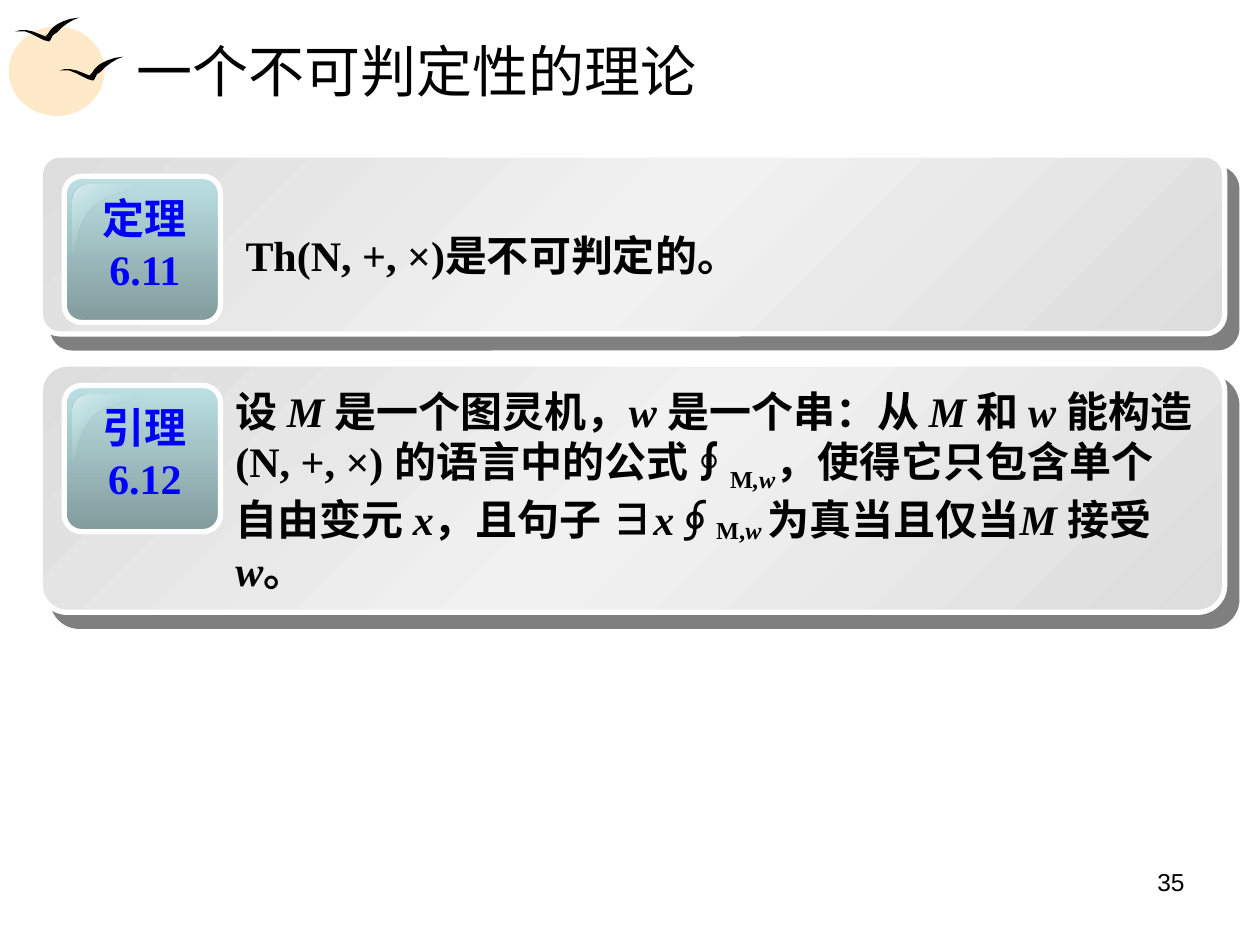
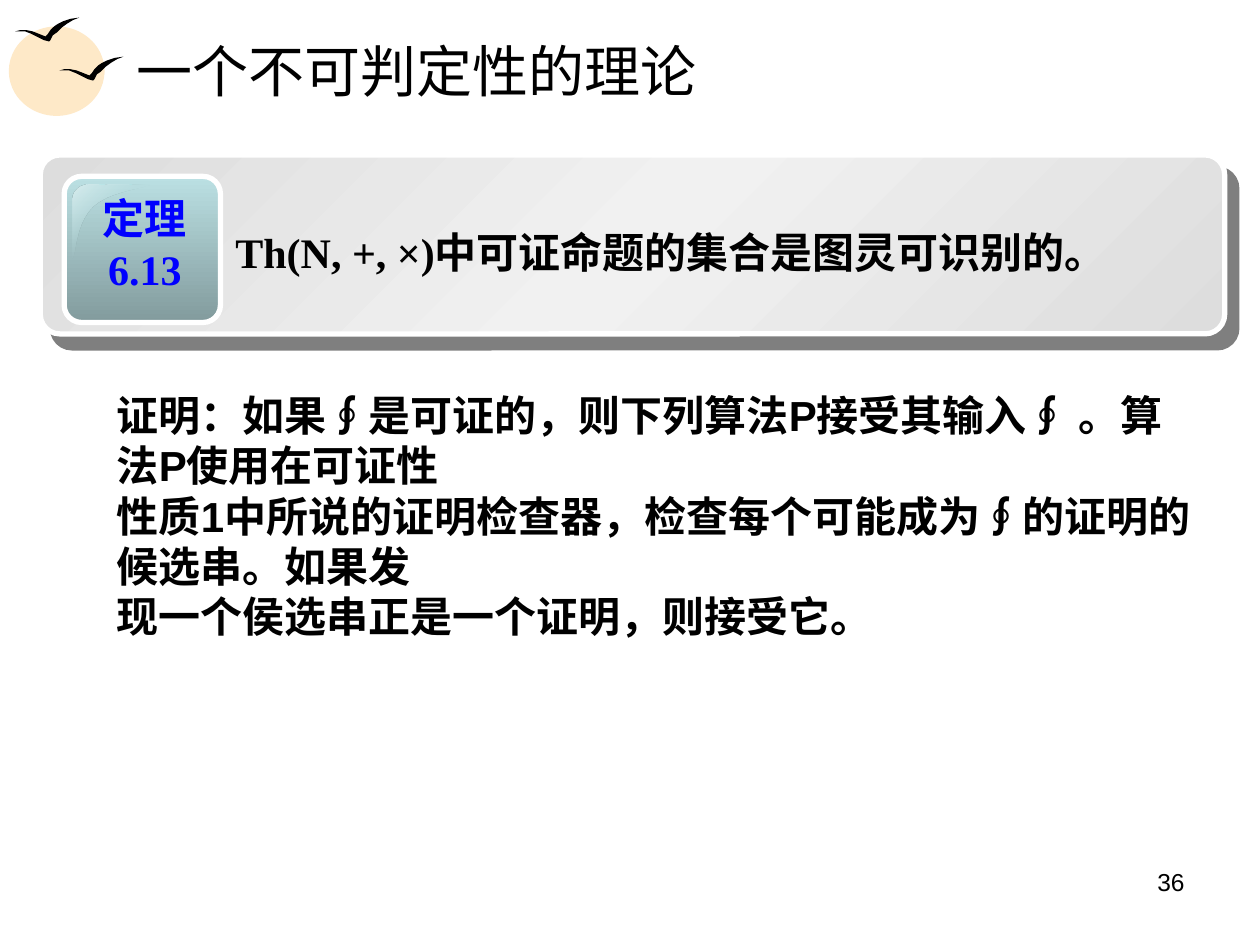
from lxml import etree
from pptx import Presentation
from pptx.dml.color import RGBColor
from pptx.enum.shapes import MSO_SHAPE
from pptx.enum.text import MSO_ANCHOR, PP_ALIGN
from pptx.oxml.ns import qn
from pptx.util import Inches, Pt

ELLIPSE, ROUNDED = MSO_SHAPE.OVAL, MSO_SHAPE.ROUNDED_RECTANGLE
LEFT, CENTER, RIGHT = PP_ALIGN.LEFT, PP_ALIGN.CENTER, PP_ALIGN.RIGHT
MIDDLE = MSO_ANCHOR.MIDDLE

TITLE = "一个不可判定性的理论"
SERIF, SANS = "Times New Roman", "Arial"
BLACK, BLUE, WHITE, SUN = "000000", "0000FF", "FFFFFF", "FEE9C8"

TITLE_FORMAT = {"name": SERIF, "size": Pt(32), "bold": False, "color": BLACK}
STATEMENT_FORMAT = {"name": SERIF, "size": Pt(24), "bold": True, "color": BLACK}
LABEL_FORMAT = {**STATEMENT_FORMAT, "color": BLUE}
PROOF_FORMAT = {**STATEMENT_FORMAT, "name": SANS}
NUMBER_FORMAT = {"name": SANS, "size": Pt(14), "color": BLACK}

ITALIC = {"italic": True}
LOW, LOW_ITALIC = {"baseline": -25}, {"baseline": -25, "italic": True}
DROP, DROP_ITALIC = {"baseline": -10}, {"baseline": -10, "italic": True}

PANEL_STOPS = [(0, "DDDDDD", 100), (50, "F1F1F1", 100), (100, "DDDDDD", 100)]
BADGE_STOPS = [(0, "BBE0E3", 100), (100, "829B9D", 100)]
SHEEN_STOPS = [(0, "D9EDEE", 100), (50, "BBE0E3", 0), (100, "D9EDEE", 100)]

LEMMA_RUNS = [
    ("设 ", {}), ("M ", ITALIC), ("是一个图灵机，", {}), ("w ", ITALIC),
    ("是一个串：从 ", {}), ("M ", ITALIC), ("和 ", {}), ("w ", ITALIC),
    ("能构造(N, +, ×) 的语言中的公式∮", {}), ("M", LOW), (",w", LOW_ITALIC),
    ("，使得它只包含单个自由变元 ", {}), ("x", ITALIC), ("，且句子 ", {}),
    ("∃", {"name": SANS}), ("x", ITALIC), ("∮", {}), ("M,", DROP),
    ("w ", DROP_ITALIC), ("为真当且仅当", {}), ("M ", ITALIC), ("接受", {}),
    ("w", ITALIC), ("。", {}),
]

SLIDES = [
    {"number": "35", "proof": [], "panels": [
        {"top": 1.23, "height": 1.42, "label": ["定理", "6.11"],
         "box": (1.85, 1.77, 7.48, 0.5),
         "runs": [("Th(N, +, ×)是不可判定的。", {})]},
        {"top": 2.89, "height": 1.97, "label": ["引理", "6.12"],
         "box": (1.77, 3.01, 7.8, 1.76), "runs": LEMMA_RUNS},
    ]},
    {"number": "36", "panels": [
        {"top": 1.23, "height": 1.42, "label": ["定理", "6.13"],
         "box": (1.77, 1.75, 7.56, 0.5),
         "runs": [("Th(N, +, ×)中可证命题的集合是图灵可识别的。", {})]},
    ], "proof": [
        "证明：如果∮是可证的，则下列算法P接受其输入∮ 。算法P使用在可证性",
        "性质1中所说的证明检查器，检查每个可能成为∮的证明的候选串。如果发",
        "现一个侯选串正是一个证明，则接受它。",
    ]},
]

TITLE_BOX = (0.98, 0.21, 8.53, 0.69)
PROOF_BOX = (0.83, 3.04, 8.74, 2.1)
NUMBER_BOX = (7.17, 6.83, 2.33, 0.52)
SUN_BOXES = [(0.07, 0.21, 0.76, 0.71), (0.2, 0.28, 0.63, 0.55)]
BIRD_CORNERS = [(0.47, 0.45), (0.12, 0.14)]
BIRD_HUNDREDTHS = [
    (0, 11), (4, 10), (9, 10), (14, 11), (19, 13), (24, 15), (26, 13),
    (28, 10), (31, 7), (34, 5), (38, 3), (44, 1), (51, 0), (46, 2), (41, 5),
    (37, 8), (33, 12), (30, 14), (28, 18), (27, 19), (23, 18), (19, 16),
    (13, 13), (8, 11),
]
SHEEN_CURVES = [
    [(0.13, 0), (0.06, 0), (0, 0.05), (0, 0.12)],
    [(0, 0.58), (0.03, 0.58), (0.02, 0.3), (0.17, 0.17)],
    [(0.17, 0.17), (0.32, 0.04), (0.62, 0.03), (0.61, 0)],
]


def color(value):
    """Turn a hex string into a colour."""
    return RGBColor.from_string(value)


def inches(box):
    """Turn a box of numbers into lengths."""
    return [Inches(value) for value in box]


def format_run(run, values):
    """Apply format values to a run."""
    for name, value in values.items():
        if name == "color":
            run.font.color.rgb = color(value)
        elif name == "baseline":
            run._r.get_or_add_rPr().set("baseline", str(value * 1000))
        else:
            setattr(run.font, name, value)


def write(frame, paragraphs, values, align=LEFT):
    """Fill a text frame with paragraphs of (text, changes) runs."""
    frame.word_wrap = True
    for index, runs in enumerate(paragraphs):
        paragraph = frame.add_paragraph() if index else frame.paragraphs[0]
        paragraph.alignment = align
        for text, changes in runs:
            run = paragraph.add_run()
            run.text = text
            format_run(run, {**values, **changes})


def add_text(shapes, box, paragraphs, values, align=LEFT):
    """Add a text box."""
    write(shapes.add_textbox(*inches(box)).text_frame, paragraphs, values, align)


def plain(lines):
    """Make one unformatted run per line."""
    return [[(line, {})] for line in lines]


def paint(shape, fill):
    """Give a shape a solid fill without line or shadow."""
    shape.shadow.inherit = False
    shape.fill.solid()
    shape.fill.fore_color.rgb = color(fill)
    shape.line.fill.background()


def add_color(parent, value, alpha):
    """Add a colour element with its opacity in percent."""
    element = etree.SubElement(parent, qn("a:srgbClr"), val=value)
    if alpha < 100:
        etree.SubElement(element, qn("a:alpha"), val=str(alpha * 1000))


def paint_gradient(shape, stops, angle):
    """Replace the solid fill of a shape by a linear gradient."""
    paint(shape, stops[0][1])
    properties = shape._element.spPr
    gradient = etree.Element(qn("a:gradFill"), rotWithShape="1")
    stop_list = etree.SubElement(gradient, qn("a:gsLst"))
    for position, value, alpha in stops:
        stop = etree.SubElement(stop_list, qn("a:gs"), pos=str(position * 1000))
        add_color(stop, value, alpha)
    etree.SubElement(gradient, qn("a:lin"), ang=str(angle * 60000), scaled="0")
    properties.replace(properties.find(qn("a:solidFill")), gradient)


def add_shadow(shape):
    """Add a hard half-transparent shadow at the lower right."""
    effects = shape._element.spPr.find(qn("a:effectLst"))
    shadow = etree.SubElement(
        effects, qn("a:outerShdw"), blurRad="0", dist=str(Pt(10.6)),
        dir=str(49 * 60000), algn="ctr", rotWithShape="0")
    add_color(shadow, BLACK, 50)


def add_outline(shapes, points, left, top):
    """Add a closed freeform from points relative to a corner, in inches."""
    scaled = [((left + x) * 1000, (top + y) * 1000) for x, y in points]
    builder = shapes.build_freeform(*scaled[0], scale=Inches(0.001))
    builder.add_line_segments(scaled[1:], close=True)
    return builder.convert_to_shape()


def curve_points(controls, steps=10):
    """Sample a cubic curve."""
    points = []
    for step in range(steps + 1):
        t = step / steps
        weights = ((1 - t) ** 3, 3 * t * (1 - t) ** 2, 3 * t * t * (1 - t), t ** 3)
        points.append(tuple(
            sum(weight * point[axis] for weight, point in zip(weights, controls))
            for axis in (0, 1)))
    return points


def add_card(shapes, box, adjustment, stops, angle):
    """Add a rounded gradient card with a white border."""
    card = shapes.add_shape(ROUNDED, *inches(box))
    card.adjustments[0] = adjustment
    paint_gradient(card, stops, angle)
    card.line.color.rgb = color(WHITE)
    card.line.width = Pt(3)
    return card


def add_panel(slide, panel):
    """Add a labelled statement panel."""
    shapes = slide.shapes.add_group_shape().shapes
    top = panel["top"]
    add_shadow(add_card(
        shapes, (0.32, top, 9.4, panel["height"]), 0.109, PANEL_STOPS, 225))
    add_card(shapes, (0.51, top + 0.17, 1.24, 1.16), 0.119, BADGE_STOPS, 90)
    sheen = [point for curve in SHEEN_CURVES for point in curve_points(curve)]
    paint_gradient(add_outline(shapes, sheen, 0.58, top + 0.24), SHEEN_STOPS, 225)
    add_text(shapes, (0.68, top + 0.25, 0.94, 0.9), plain(panel["label"]),
             LABEL_FORMAT, CENTER)
    add_text(shapes, panel["box"], [panel["runs"]], STATEMENT_FORMAT)


def add_master_emblem(slide, master):
    """Draw the sun and birds and move them to the slide master."""
    emblem = []
    for box in SUN_BOXES:
        emblem.append(slide.shapes.add_shape(ELLIPSE, *inches(box)))
        paint(emblem[-1], SUN)
    bird = [(x / 100, y / 100) for x, y in BIRD_HUNDREDTHS]
    for left, top in BIRD_CORNERS:
        emblem.append(add_outline(slide.shapes, bird, left, top))
        paint(emblem[-1], BLACK)
    for identifier, shape in enumerate(emblem, 101):
        shape._element.nvSpPr.cNvPr.set("id", str(identifier))
        master.shapes._spTree.append(shape._element)


def add_title(slide):
    """Place and format the title."""
    title = slide.shapes.title
    title.left, title.top, title.width, title.height = inches(TITLE_BOX)
    title.text_frame.vertical_anchor = MIDDLE
    write(title.text_frame, plain([TITLE]), TITLE_FORMAT)


def main():
    """Build the presentation."""
    presentation = Presentation()
    presentation.slide_width, presentation.slide_height = Inches(10), Inches(7.5)
    layout = presentation.slide_layouts[5]
    for index, content in enumerate(SLIDES):
        slide = presentation.slides.add_slide(layout)
        if index == 0:
            add_master_emblem(slide, presentation.slide_master)
        add_title(slide)
        for panel in content["panels"]:
            add_panel(slide, panel)
        if content["proof"]:
            add_text(slide.shapes, PROOF_BOX, plain(content["proof"]), PROOF_FORMAT)
        add_text(slide.shapes, NUMBER_BOX, plain([content["number"]]),
                 NUMBER_FORMAT, RIGHT)
    presentation.save("out.pptx")


if __name__ == "__main__":
    main()
